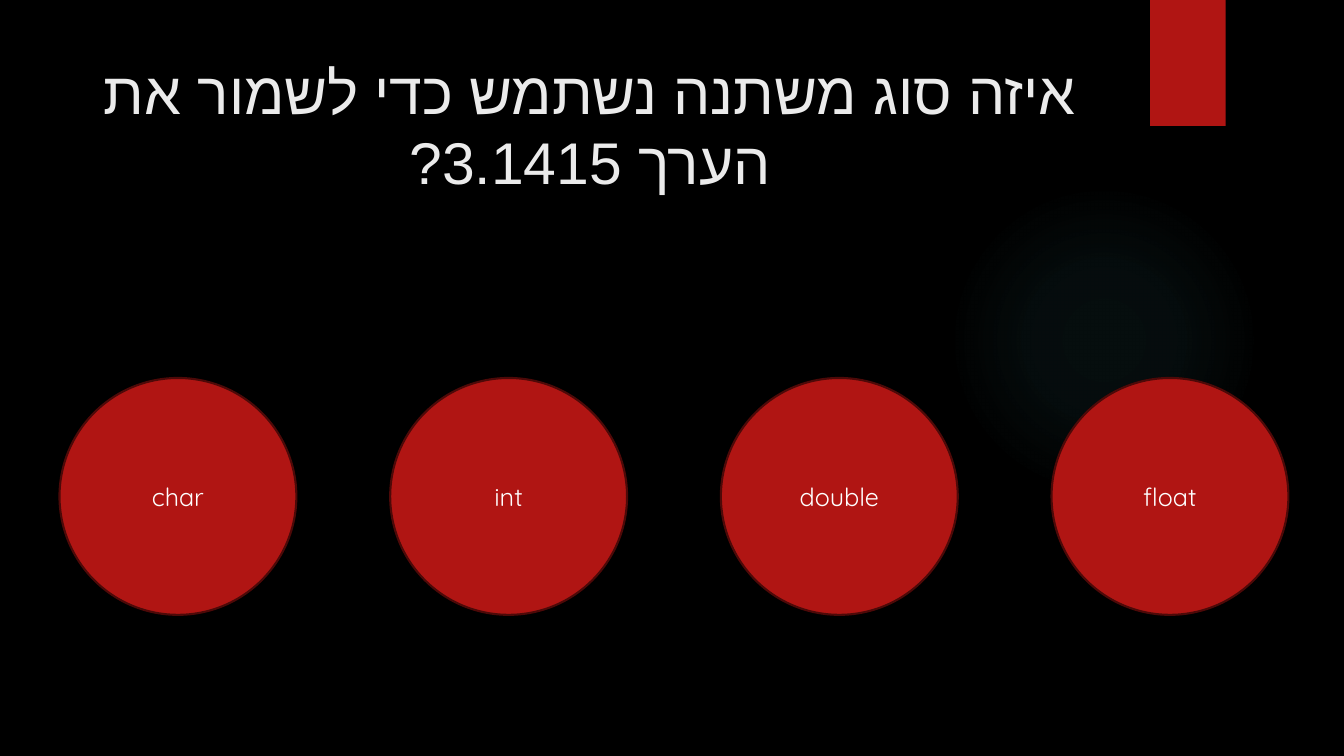
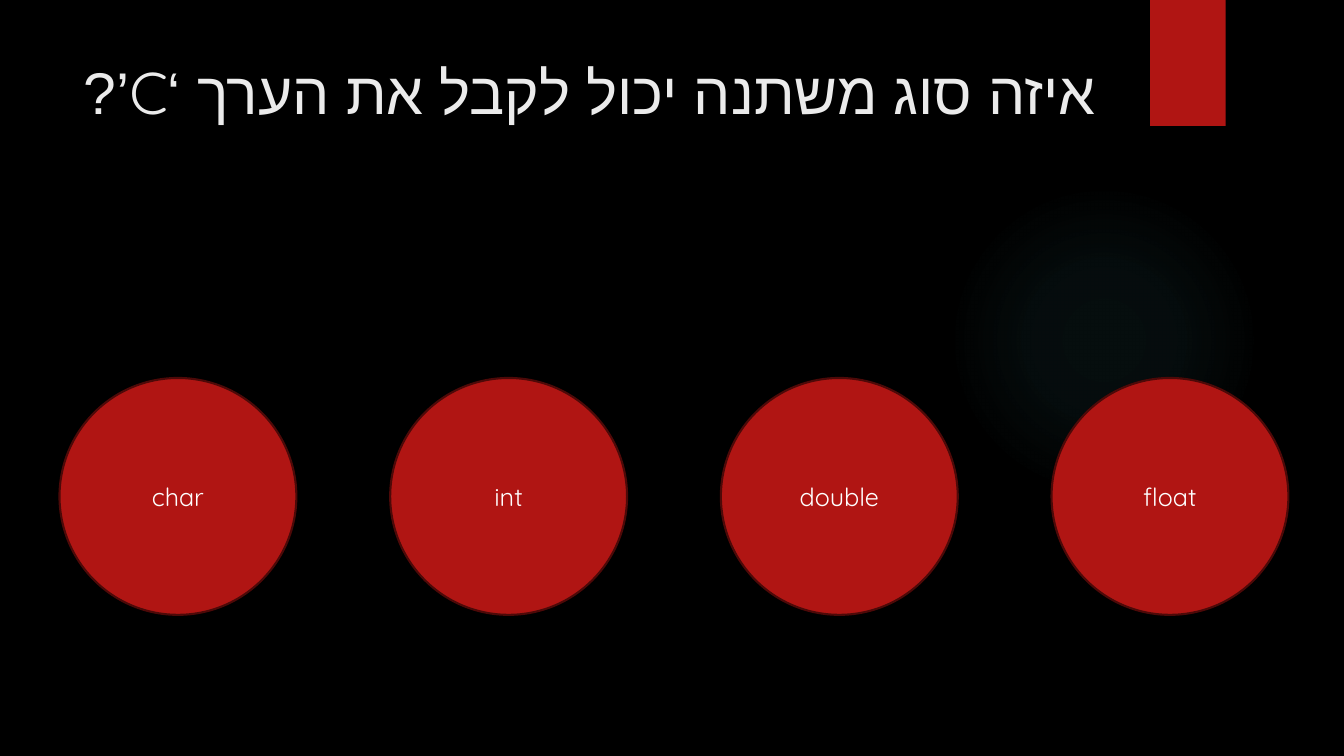
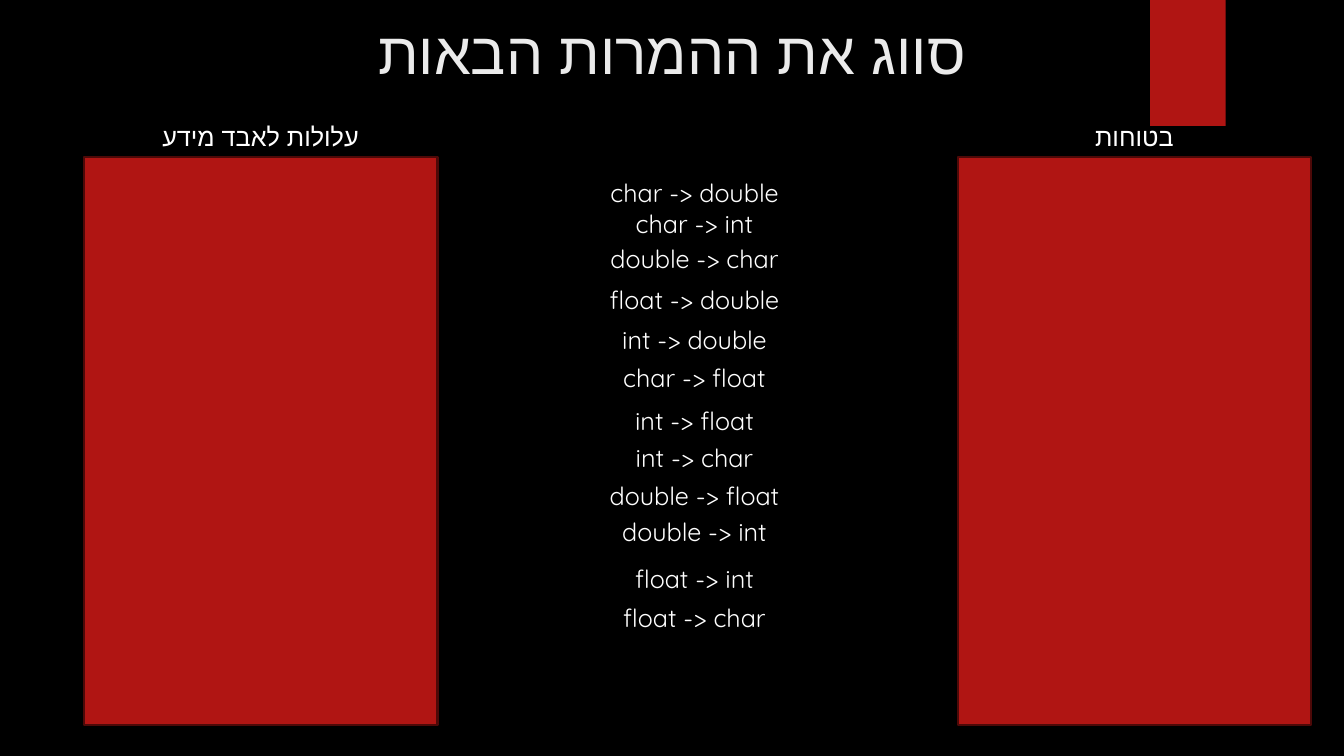
import dataclasses

import pptx
import pptx.dml.color
import pptx.enum.shapes
import pptx.enum.text
import pptx.oxml
import pptx.oxml.ns
import pptx.util

Pt = pptx.util.Pt
Shape = pptx.enum.shapes.MSO_SHAPE
Align = pptx.enum.text.PP_ALIGN
Anchor = pptx.enum.text.MSO_ANCHOR
Fit = pptx.enum.text.MSO_AUTO_SIZE
NS = pptx.oxml.ns.nsdecls("a")


@dataclasses.dataclass(frozen=True)
class Theme:
    back: str = "000000"
    red: str = "B01513"
    edge: str = "4D0908"
    glow: str = "50B9C1"
    title: str = "EBEBEB"
    text: str = "FFFFFF"
    font: str = "Quicksand"
    hebrew: str = "Arial"
    large: int = 42
    small: int = 18
    rim: float = 1.5


THEME = Theme()
TYPES = ["char", "int", "double", "float"]
CASTS = [
    (123.1, "char -> double"),
    (145.4, "char -> int"),
    (170.6, "double -> char"),
    (199.4, "float -> double"),
    (228.2, "int -> double"),
    (255.6, "char -> float"),
    (285.8, "int -> float"),
    (312.5, "int -> char"),
    (339.8, "double -> float"),
    (365, "double -> int"),
    (398.9, "float -> int"),
    (427, "float -> char"),
]
BINS = [(59.8, "עלולות לאבד מידע"), (684, "בטוחות")]


def rgb(code):
    return pptx.dml.color.RGBColor.from_string(code)


def apply(target, form):
    for name, value in form.items():
        setattr(target, name, value)


def write(shape, text, size, color, rtl=False):
    """Put one centred paragraph in a shape, right to left for Hebrew."""
    para = shape.text_frame.paragraphs[0]
    para.alignment = Align.CENTER
    run = para.add_run()
    run.text = text
    apply(run.font, {"name": THEME.font, "size": Pt(size)})
    run.font.color.rgb = rgb(color)
    if rtl:
        para._p.get_or_add_pPr().set("rtl", "1")
        run.font._element.append(
            pptx.oxml.parse_xml(f'<a:cs {NS} typeface="{THEME.hebrew}"/>'))


def label(slide, box, text, size=THEME.small, color=THEME.text, rtl=False, grow=True):
    shape = slide.shapes.add_textbox(*map(Pt, box))
    apply(shape.text_frame, {
        "word_wrap": True,
        "vertical_anchor": Anchor.TOP,
        "auto_size": Fit.SHAPE_TO_FIT_TEXT if grow else Fit.NONE,
    })
    write(shape, text, size, color, rtl)


def block(slide, kind, box, edge=True):
    """Add a red shape, with a dark rim if edge is set."""
    shape = slide.shapes.add_shape(kind, *map(Pt, box))
    shape.shadow.inherit = False
    shape.fill.solid()
    shape.fill.fore_color.rgb = rgb(THEME.red)
    if edge:
        shape.line.color.rgb = rgb(THEME.edge)
        shape.line.width = Pt(THEME.rim)
    else:
        shape.line.fill.background()
    return shape


def fade(shape):
    """Swap the fill for a soft round glow."""
    stops = "".join(
        f'<a:gs pos="{pos}000"><a:srgbClr val="{THEME.glow}">'
        f'<a:alpha val="{alpha}000"/></a:srgbClr></a:gs>'
        for pos, alpha in [(0, 7), (36, 6), (69, 0)])
    grad = pptx.oxml.parse_xml(
        f'<a:gradFill {NS} rotWithShape="1"><a:gsLst>{stops}</a:gsLst>'
        '<a:path path="circle"><a:fillToRect l="50000" t="50000" r="50000" b="50000"/>'
        '</a:path></a:gradFill>')
    props = shape.element.spPr
    props.replace(props.find(pptx.oxml.ns.qn("a:solidFill")), grad)


def shade(shape):
    """Drop a small shadow below the shape."""
    drop = pptx.oxml.parse_xml(
        f'<a:outerShdw {NS} blurRad="{Pt(3)}" dist="{Pt(2)}" dir="5400000">'
        '<a:srgbClr val="000000"><a:alpha val="45000"/></a:srgbClr></a:outerShdw>')
    shape.element.spPr.find(pptx.oxml.ns.qn("a:effectLst")).append(drop)


def dress(layout, slide):
    """Give the layout its background, glow and tab, drawn by way of a slide."""
    layout.background.fill.solid()
    layout.background.fill.fore_color.rgb = rgb(THEME.back)
    glow = block(slide, Shape.OVAL, (677.5, 131.8, 221.8, 221.8), edge=False)
    fade(glow)
    tab = block(slide, Shape.RECTANGLE, (821.5, 0, 54, 90), edge=False)
    shade(tab)
    for part in (glow, tab):
        layout.shapes.element.append(part.element)


def title(slide, text, box):
    label(slide, box, text, THEME.large, THEME.title, rtl=True, grow=False)


def quiz(slide, text):
    title(slide, text, (51.1, 36, 740.9, 110.2))
    left, top, side, step = 42.5, 270, 169.2, 236.2
    for i, name in enumerate(TYPES):
        disc = block(slide, Shape.OVAL, (left + i * step, top, side, side))
        disc.text_frame.vertical_anchor = Anchor.MIDDLE
        write(disc, name, THEME.small, THEME.text)


def sort(slide, text):
    title(slide, text, (66.2, 7.9, 828, 104.4))
    width, head = 252.7, 156.2
    for left, name in BINS:
        block(slide, Shape.RECTANGLE, (left, 112.3, width, 405.4))
        label(slide, (left + (width - head) / 2, 82.8, head, 28.8), name, rtl=True)
    for top, cast in CASTS:
        label(slide, (391.7, top, 208.8, 28.8), cast)


def main():
    deck = pptx.Presentation()
    apply(deck, {"slide_width": Pt(960), "slide_height": Pt(540)})
    layout = deck.slide_layouts[6]
    first, second, third = (deck.slides.add_slide(layout) for _ in range(3))
    dress(layout, first)
    quiz(first, "איזה סוג משתנה נשתמש כדי לשמור את הערך 3.1415?")
    quiz(second, "איזה סוג משתנה יכול לקבל את הערך ‘C’?")
    sort(third, "סווג את ההמרות הבאות")
    deck.save("out.pptx")


if __name__ == "__main__":
    main()
